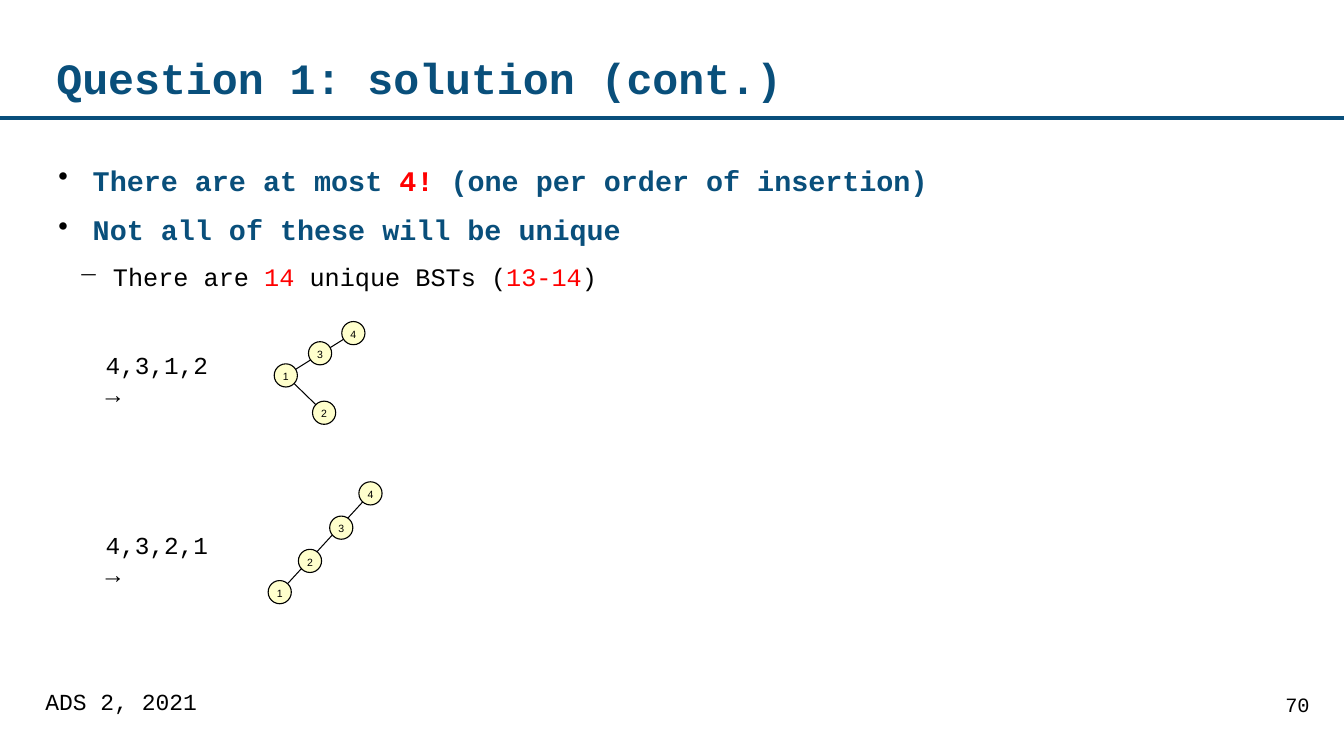
from pptx import Presentation
from pptx.dml.color import RGBColor
from pptx.enum.shapes import MSO_CONNECTOR, MSO_SHAPE
from pptx.enum.text import MSO_ANCHOR as ANCHOR, MSO_AUTO_SIZE as AUTO_SIZE, PP_ALIGN as ALIGN
from pptx.oxml.ns import qn
from pptx.util import Pt
from lxml.etree import SubElement

PX = 9144  # 100 px to the inch
MONO = "Courier New"
COLORS = {"blue": "094F7B", "red": "FF0000", "black": "000000", "cream": "FFFFCC"}
NODE_SIZE = 23


def px(*lengths):
    return [round(length * PX) for length in lengths]


def color(name):
    return RGBColor.from_string(COLORS[name])


def write(paragraph, runs, size, font=MONO, fill="black", bold=False, align=ALIGN.LEFT,
          spacing=1.0, before=0, level=0, margin=0, hanging=0, bullet=None):
    """Fill a paragraph with (text, colour) runs; a plain string is one run."""
    properties = paragraph._p.get_or_add_pPr()
    properties.set("marL", str(margin * PX))
    properties.set("indent", str(-hanging * PX))
    if bullet:
        bullet_color = SubElement(properties, qn("a:buClr"))
        SubElement(bullet_color, qn("a:srgbClr"), val=COLORS["black"])
        SubElement(properties, qn("a:buChar"), char=bullet)
    paragraph.level = level
    paragraph.alignment = align
    paragraph.line_spacing = spacing
    paragraph.space_before = Pt(before)
    for text, run_fill in [(runs, fill)] if isinstance(runs, str) else runs:
        run = paragraph.add_run()
        run.text = text
        run.font.name = font
        run.font.size = Pt(size)
        run.font.bold = bold
        run.font.color.rgb = color(run_fill)


def set_frame(shape, insets=(0, 0, 0, 0), anchor=ANCHOR.TOP, wrap=True):
    frame = shape.text_frame
    frame.auto_size = AUTO_SIZE.NONE
    frame.word_wrap = wrap
    frame.vertical_anchor = anchor
    (frame.margin_left, frame.margin_top,
     frame.margin_right, frame.margin_bottom) = px(*insets)
    return frame


def add_text(slide, box, runs, insets, **text_format):
    frame = set_frame(slide.shapes.add_textbox(*px(*box)), insets)
    write(frame.paragraphs[0], runs, **text_format)


def add_line(slide, start, end, stroke, width):
    line = slide.shapes.add_connector(MSO_CONNECTOR.STRAIGHT, *px(*start, *end))
    line.line.color.rgb = color(stroke)
    line.line.width = Pt(width)
    SubElement(line._element.spPr, qn("a:effectLst"))


def add_title(slide, box, text):
    title = slide.shapes.title
    title.left, title.top, title.width, title.height = px(*box)
    frame = set_frame(title, anchor=ANCHOR.MIDDLE)
    write(frame.paragraphs[0], text, size=30.9, fill="blue", bold=True, spacing=1.04)


def add_bullets(slide, box):
    frame = set_frame(slide.shapes.add_textbox(*px(*box)), insets=(0, 8, 0, 0))
    main = dict(size=20.3, bold=True, margin=36, bullet="•")
    detail = dict(size=18, level=1, margin=56, bullet="−")
    items = [
        ([("There are at most ", "blue"), ("4! ", "red"),
          ("(one per order of insertion)", "blue")], main),
        ([("Not all of these will be unique", "blue")], main),
        ([("There are ", "black"), ("14", "red"), (" unique BSTs (", "black"),
          ("13-14", "red"), (")", "black")], detail),
    ]
    for index, (runs, text_format) in enumerate(items):
        paragraph = frame.add_paragraph() if index else frame.paragraphs[0]
        write(paragraph, runs, hanging=34, spacing=1.2,
              before=6.2 if index else 0, **text_format)


def add_tree(slide, origin, nodes, strokes):
    """Place nodes (key: offset from origin) over lines joining pairs of keys."""
    left, top = origin
    places = {key: (left + x, top + y) for key, (x, y) in nodes.items()}
    centers = {key: (x + NODE_SIZE / 2, y + NODE_SIZE / 2) for key, (x, y) in places.items()}
    for parent, child in strokes:
        add_line(slide, centers[parent], centers[child], "black", 0.75)
    for key, place in places.items():
        node = slide.shapes.add_shape(MSO_SHAPE.OVAL, *px(*place, NODE_SIZE, NODE_SIZE))
        node.shadow.inherit = False
        node.fill.solid()
        node.fill.fore_color.rgb = color("cream")
        node.line.color.rgb = color("black")
        node.line.width = Pt(0.8)
        frame = set_frame(node, anchor=ANCHOR.MIDDLE, wrap=False)
        write(frame.paragraphs[0], str(key), size=7.5, font="Arial",
              align=ALIGN.CENTER, spacing=1.15)


def add_example(slide, box, order, tree_origin, nodes, strokes):
    add_text(slide, box, f"{order} →", (10, 5, 10, 5), size=17.4, level=1, margin=61)
    add_tree(slide, tree_origin, nodes, strokes)


def add_footer(slide, top):
    add_text(slide, (1096, top, 215, 52), "70", (12, 6, 12, 6),
             size=14.5, align=ALIGN.RIGHT, spacing=0.96)
    add_text(slide, (34, top, 843, 52), "ADS 2, 2021", (11, 5, 11, 5),
             size=16.4, spacing=0.82)


def main():
    presentation = Presentation()
    presentation.slide_width, presentation.slide_height = px(1333, 750)
    slide = presentation.slides.add_slide(presentation.slide_layouts[5])
    add_line(slide, (0, 117), (1333, 117), "blue", 2.75)
    add_title(slide, (56, 33, 1138, 86), "Question 1: solution (cont.)")
    add_bullets(slide, (56, 147, 1222, 520))
    add_footer(slide, 682)
    add_example(slide, (34, 342, 199, 39), "4,3,1,2", (272, 319),
                {4: (67, 0), 3: (34, 20), 1: (0, 42), 2: (38, 79)}, [(4, 1), (1, 2)])
    add_example(slide, (34, 521, 199, 39), "4,3,2,1", (266, 478),
                {4: (90, 0), 3: (61, 34), 2: (30, 67), 1: (0, 98)}, [(4, 1)])
    presentation.save("out.pptx")


if __name__ == "__main__":
    main()
